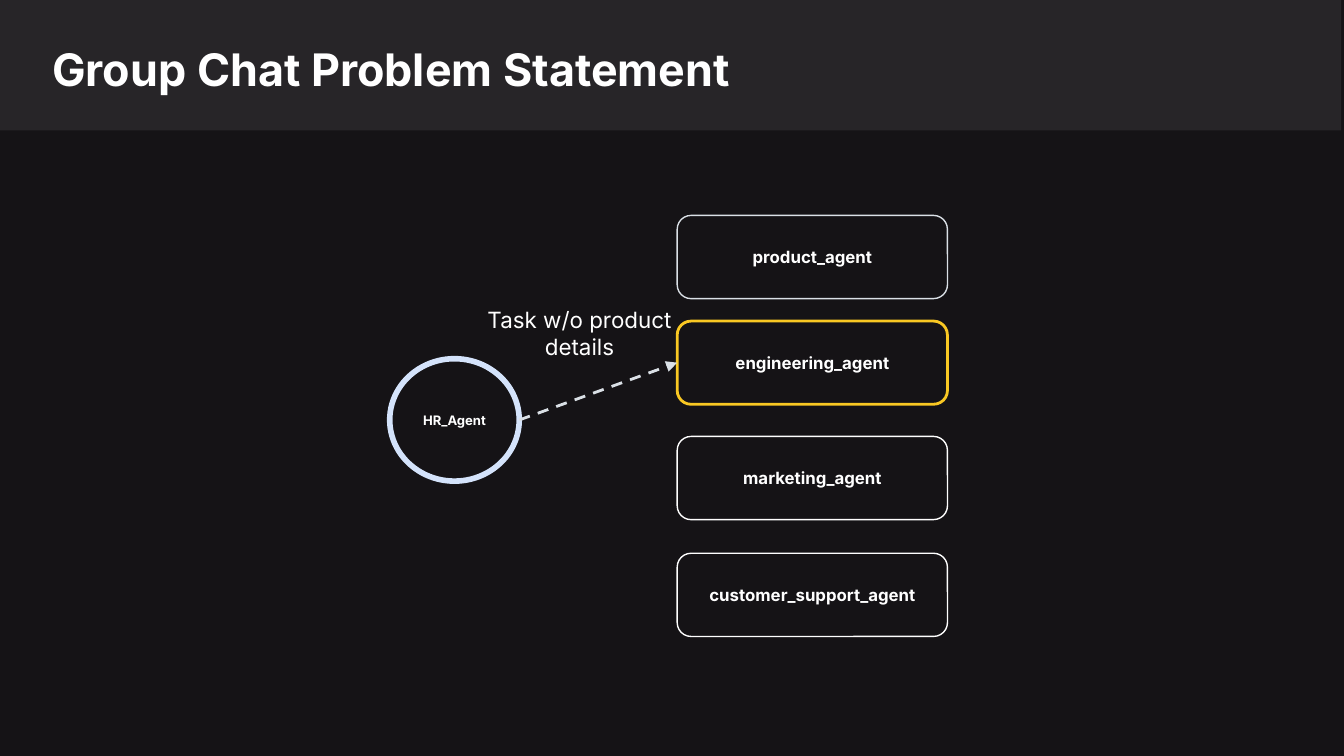
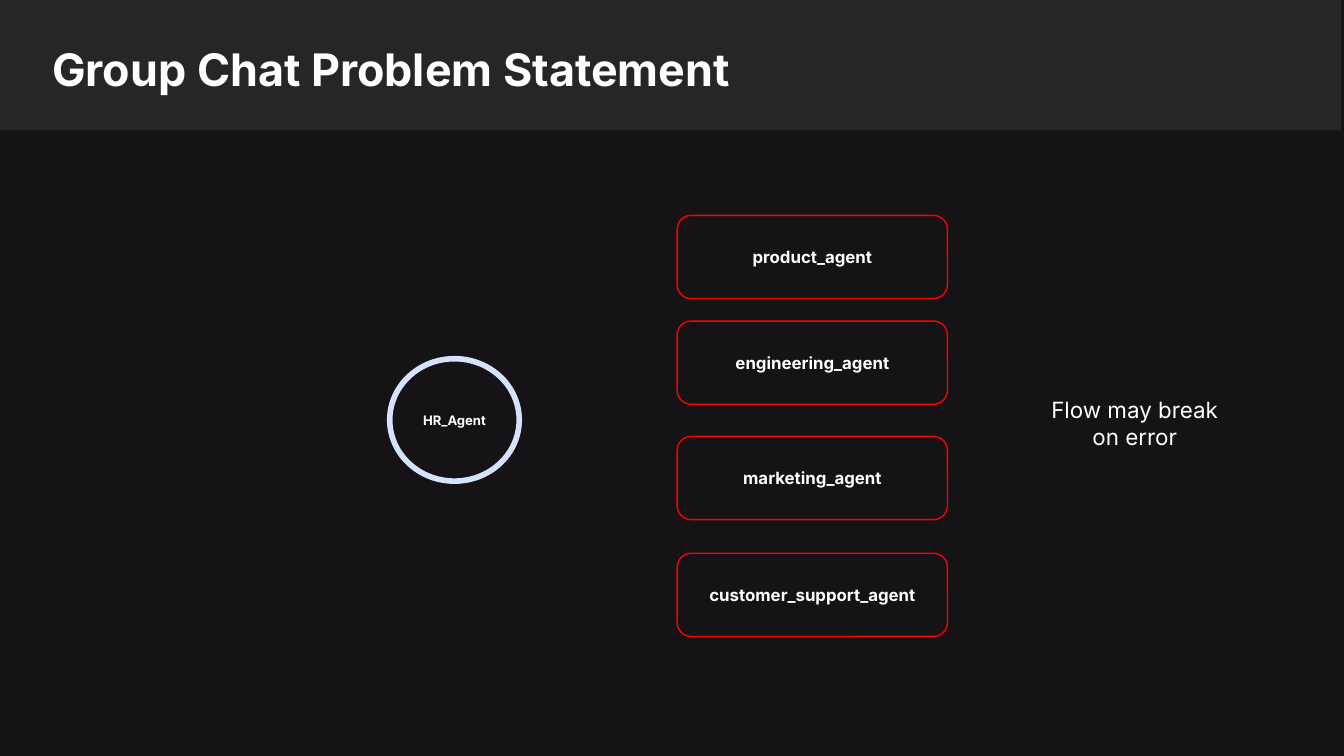
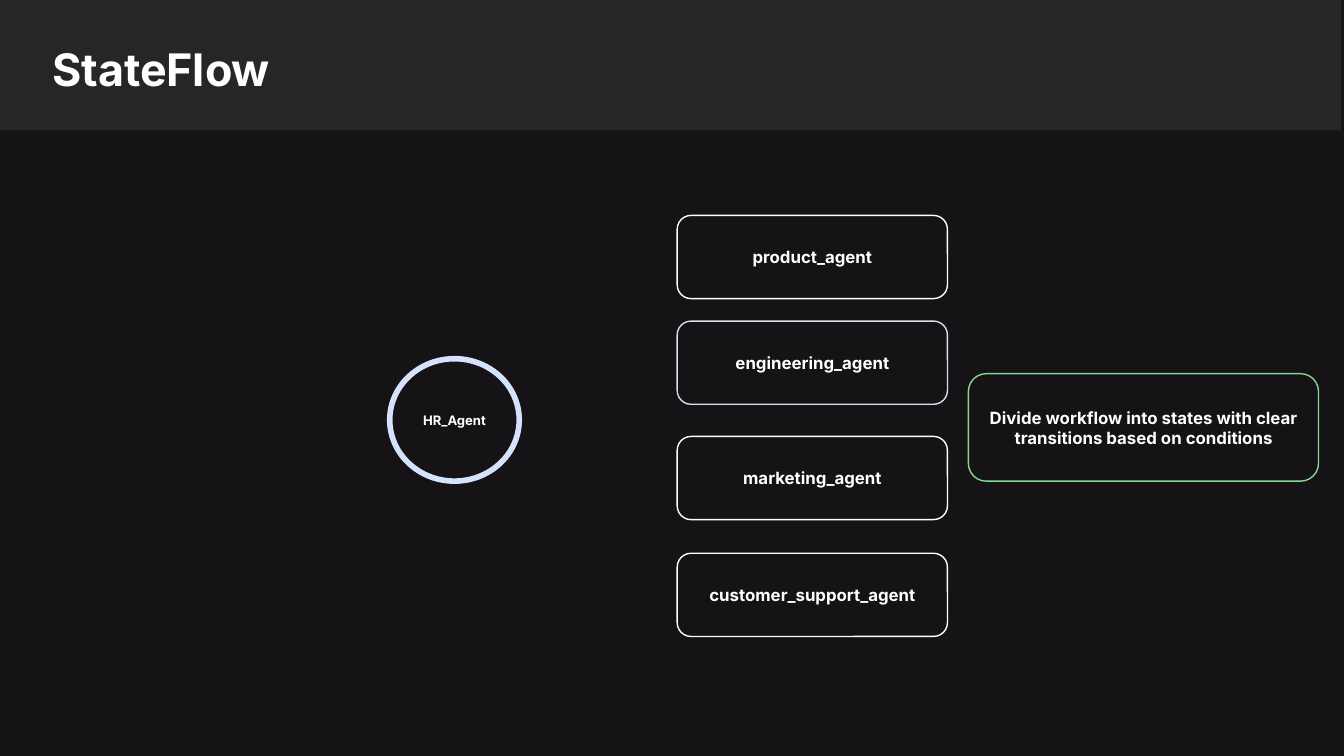
from dataclasses import dataclass
from typing import Optional

import lxml.etree
import pptx
import pptx.dml.color
import pptx.enum.dml
import pptx.enum.shapes
import pptx.enum.text
import pptx.oxml.ns
import pptx.util

Pt = pptx.util.Pt
ShapeKind = pptx.enum.shapes.MSO_SHAPE
Align = pptx.enum.text.PP_ALIGN
Anchor = pptx.enum.text.MSO_ANCHOR

COLORS = {
    "background": "151316",
    "band": "272528",
    "text": "FFFFFF",
    "white": "FFFFFF",
    "gray": "DAE0E6",
    "blue": "D4E3FB",
    "yellow": "F9C823",
    "red": "FF0000",
    "green": "85D992",
}
FONT = "Inter"
INSET = 7.2


@dataclass(frozen=True)
class Box:
    left: float
    top: float
    width: float
    height: float

    def lengths(self) -> tuple:
        return Pt(self.left), Pt(self.top), Pt(self.width), Pt(self.height)


@dataclass(frozen=True)
class Outline:
    color: str
    width: float = 0.75


@dataclass(frozen=True)
class Agent:
    name: str
    top: float


@dataclass(frozen=True)
class Label:
    text: str
    box: Box
    outline: Optional[Outline] = None


@dataclass(frozen=True)
class DiagramSlide:
    title: str
    outlines: tuple
    label: Label
    task_target: Optional[int] = None


BAND = Box(0, -0.72, 718.5, 70.56)
TITLE = Box(20.9, 15.1, 667.4, 41.8)
HR_AGENT = Box(208.8, 192.2, 69.4, 65.6)
AGENT_LEFT, AGENT_WIDTH, AGENT_HEIGHT = 362.8, 144.8, 44.6
AGENTS = (
    Agent("product_agent", 115.4),
    Agent("engineering_agent", 172),
    Agent("marketing_agent", 233.8),
    Agent("customer_support_agent", 296.4),
)

WHITE = Outline("white")
GRAY = Outline("gray")
RED = Outline("red")
SLIDES = (
    DiagramSlide(
        "Group Chat Problem Statement",
        (GRAY, Outline("yellow", 1.5), WHITE, WHITE),
        Label("Task w/o product details", Box(251.8, 156.8, 117.4, 28.8)),
        task_target=1,
    ),
    DiagramSlide(
        "Group Chat Problem Statement",
        (RED,) * len(AGENTS),
        Label("Flow may break on error", Box(549.2, 205.2, 117.4, 28.8)),
    ),
    DiagramSlide(
        "StateFlow",
        (WHITE, GRAY, WHITE, WHITE),
        Label(
            "Divide workflow into states with clear transitions based on conditions",
            Box(518.8, 200.2, 187.6, 57.6),
            Outline("green"),
        ),
    ),
)


def rgb(color: str) -> pptx.dml.color.RGBColor:
    return pptx.dml.color.RGBColor.from_string(COLORS[color])


def write_text(shape, text: str, size: float, bold: bool = True,
               align=Align.CENTER, anchor=Anchor.MIDDLE) -> None:
    frame = shape.text_frame
    frame.word_wrap = True
    frame.vertical_anchor = anchor
    frame.margin_left = frame.margin_right = Pt(INSET)
    frame.margin_top = frame.margin_bottom = Pt(INSET)
    paragraph = frame.paragraphs[0]
    paragraph.text = text
    paragraph.alignment = align
    paragraph.font.name = FONT
    paragraph.font.size = Pt(size)
    paragraph.font.bold = bold
    paragraph.font.color.rgb = rgb("text")


def add_outlined(slide, kind, box: Box, outline: Outline, text: str, size: float = 9):
    shape = slide.shapes.add_shape(kind, *box.lengths())
    shape.shadow.inherit = False
    shape.fill.background()
    shape.line.color.rgb = rgb(outline.color)
    shape.line.width = Pt(outline.width)
    write_text(shape, text, size)
    return shape


def add_text_box(slide, box: Box, text: str, size: float, bold: bool, align) -> None:
    shape = slide.shapes.add_textbox(*box.lengths())
    write_text(shape, text, size, bold, align, Anchor.TOP)


def add_header(slide, title: str) -> None:
    band = slide.shapes.add_shape(ShapeKind.RECTANGLE, *BAND.lengths())
    band.shadow.inherit = False
    band.fill.solid()
    band.fill.fore_color.rgb = rgb("band")
    band.line.fill.background()
    add_text_box(slide, TITLE, title, 24, True, Align.LEFT)


def add_task_arrow(slide, target) -> None:
    """Draw a dashed arrow from the HR agent to the left side of the target."""
    start_x = Pt(HR_AGENT.left + HR_AGENT.width)
    start_y = Pt(HR_AGENT.top + HR_AGENT.height / 2)
    arrow = slide.shapes.add_connector(
        pptx.enum.shapes.MSO_CONNECTOR.STRAIGHT,
        start_x, start_y, target.left, target.top + target.height // 2)
    arrow.end_connect(target, 1)
    arrow.line.color.rgb = rgb("gray")
    arrow.line.width = Pt(1.5)
    arrow.line.dash_style = pptx.enum.dml.MSO_LINE.DASH
    qn = pptx.oxml.ns.qn
    lxml.etree.SubElement(arrow.line._get_or_add_ln(), qn("a:tailEnd"), type="triangle")
    lxml.etree.SubElement(arrow._element.spPr, qn("a:effectLst"))


def add_label(slide, label: Label) -> None:
    if label.outline:
        add_outlined(slide, ShapeKind.ROUNDED_RECTANGLE, label.box, label.outline, label.text)
    else:
        add_text_box(slide, label.box, label.text, 12, False, Align.CENTER)


def add_diagram_slide(presentation, content: DiagramSlide) -> None:
    slide = presentation.slides.add_slide(presentation.slide_layouts[6])
    slide.background.fill.solid()
    slide.background.fill.fore_color.rgb = rgb("background")
    add_outlined(slide, ShapeKind.OVAL, HR_AGENT, Outline("blue", 3), "HR_Agent", 7)
    agent_shapes = [
        add_outlined(slide, ShapeKind.ROUNDED_RECTANGLE,
                     Box(AGENT_LEFT, agent.top, AGENT_WIDTH, AGENT_HEIGHT),
                     outline, agent.name)
        for agent, outline in zip(AGENTS, content.outlines)
    ]
    if content.task_target is not None:
        add_task_arrow(slide, agent_shapes[content.task_target])
    add_header(slide, content.title)
    add_label(slide, content.label)


def main() -> None:
    presentation = pptx.Presentation()
    presentation.slide_width = Pt(720)
    presentation.slide_height = Pt(405)
    for content in SLIDES:
        add_diagram_slide(presentation, content)
    presentation.save("out.pptx")


if __name__ == "__main__":
    main()
